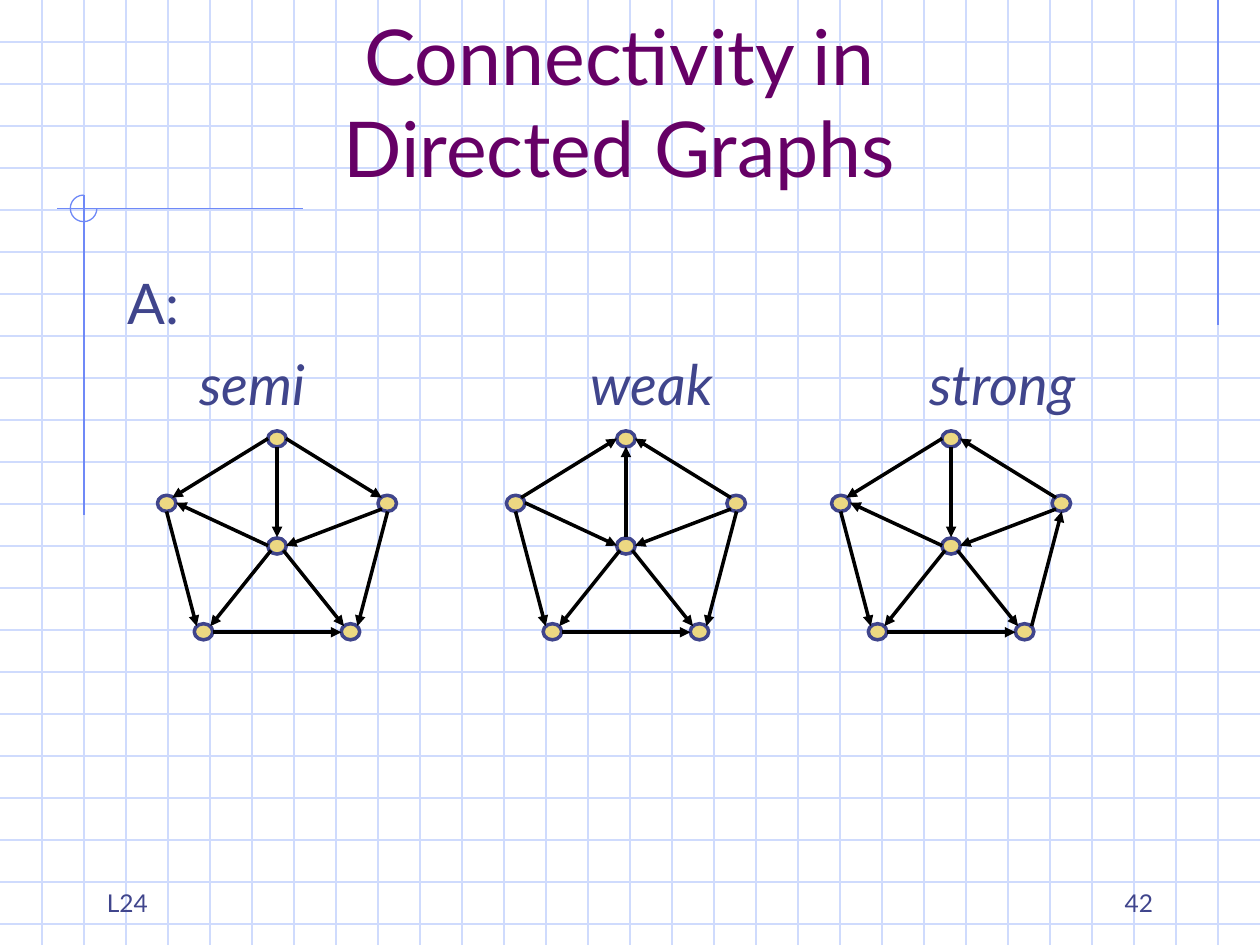
from lxml import etree
from pptx import Presentation
from pptx.dml.color import RGBColor
from pptx.enum.shapes import MSO_CONNECTOR, MSO_SHAPE
from pptx.enum.text import MSO_ANCHOR, PP_ALIGN
from pptx.oxml.ns import qn
from pptx.util import Pt

STRAIGHT = MSO_CONNECTOR.STRAIGHT
ELLIPSE, ARC = MSO_SHAPE.OVAL, MSO_SHAPE.ARC
TOP, BOTTOM = MSO_ANCHOR.TOP, MSO_ANCHOR.BOTTOM
LEFT, CENTER, RIGHT = PP_ALIGN.LEFT, PP_ALIGN.CENTER, PP_ALIGN.RIGHT

GRID_BLUE = RGBColor(0xCF, 0xDB, 0xFD)
ACCENT_BLUE = RGBColor(0x6F, 0x89, 0xF7)
PURPLE = RGBColor(0x66, 0x00, 0x66)
INDIGO = RGBColor(0x40, 0x45, 0x8C)
GOLD = RGBColor(0xEC, 0xD8, 0x82)
BLACK = RGBColor(0x00, 0x00, 0x00)

FONT = "Lato"
WIDTH, HEIGHT, GRID_STEP = 720, 540, 24
NODE_WIDTH, NODE_HEIGHT = 10.6, 9.2
NODES = [(0, 283), (126, 283), (21, 356.4), (105, 356.4), (63, 246.2), (63, 307.4)]
EDGES = {
    "left-lower left": ((5.2, 292.3), (22.4, 357.8)),
    "lower left-lower right": ((31.7, 361.3), (105.1, 361.3)),
    "right-lower right": ((131.5, 292.3), (114.3, 357.8)),
    "top-left": ((63.2, 250.6), (8.4, 284.4)),
    "top-right": ((73.4, 250.6), (128.2, 284.4)),
    "hub-left": ((63.2, 311.8), (10.6, 287.3)),
    "hub-lower right": ((72, 314.6), (106.6, 357.8)),
    "hub-lower left": ((64.8, 314.6), (30.2, 357.8)),
    "right-hub": ((128.2, 290.9), (73.4, 311.8)),
    "top-hub": ((68.3, 255.2), (68.3, 307)),
}
GRAPHS = [
    (90, set()),
    (289.4, {"top-left", "top-right", "hub-left", "top-hub"}),
    (475.2, {"right-lower right", "top-right"}),
]
LABEL_STOPS = [41, 264.5, 458]


def add_line(page, start, end, color, width=0.75, arrow=False):
    line = page.shapes.add_connector(STRAIGHT, *map(Pt, start + end))
    line.line.color.rgb = color
    line.line.width = Pt(width)
    if arrow:
        etree.SubElement(line.line._get_or_add_ln(), qn("a:tailEnd"), type="triangle")
    etree.SubElement(line._element.spPr, qn("a:effectLst"))


def add_text(page, frame, lines, size, color, align=LEFT, anchor=TOP):
    box = page.shapes.add_textbox(*map(Pt, frame))
    text = box.text_frame
    text.word_wrap = True
    text.vertical_anchor = anchor
    for index, line in enumerate(lines):
        para = text.add_paragraph() if index else text.paragraphs[0]
        para.text = line
        para.alignment = align
        para.font.name = FONT
        para.font.size = Pt(size)
        para.font.color.rgb = color
    return text.paragraphs


def set_tab_stops(para, stops):
    tabs = etree.Element(qn("a:tabLst"))
    for stop in stops:
        etree.SubElement(tabs, qn("a:tab"), pos=str(Pt(stop)), algn="l")
    para.font._element.addprevious(tabs)


def add_background(page):
    for y in range(GRID_STEP, HEIGHT, GRID_STEP):
        add_line(page, (0, y), (WIDTH, y), GRID_BLUE)
    for x in range(GRID_STEP, WIDTH, GRID_STEP):
        add_line(page, (x, 0), (x, HEIGHT), GRID_BLUE)
    add_line(page, (696, 0), (696, 186), ACCENT_BLUE)
    add_line(page, (173, 119.2), (32.4, 119.2), ACCENT_BLUE)
    add_line(page, (48, 111.6), (48, 294.5), ACCENT_BLUE)
    arc = page.shapes.add_shape(ARC, Pt(40.2), Pt(111.5), Pt(15.2), Pt(15.2))
    arc.adjustments[0], arc.adjustments[1] = 0, 162
    arc.shadow.inherit = False
    arc.fill.background()
    arc.line.color.rgb = ACCENT_BLUE
    arc.line.width = Pt(0.75)


def add_node(page, x, y):
    node = page.shapes.add_shape(ELLIPSE, Pt(x), Pt(y), Pt(NODE_WIDTH), Pt(NODE_HEIGHT))
    node.shadow.inherit = False
    node.fill.solid()
    node.fill.fore_color.rgb = GOLD
    node.line.color.rgb = INDIGO
    node.line.width = Pt(2)


def add_graph(page, left, reversed_edges):
    for x, y in NODES:
        add_node(page, left + x, y)
    for name, ends in EDGES.items():
        start, end = [(left + x, y) for x, y in ends]
        if name in reversed_edges:
            start, end = end, start
        add_line(page, start, end, BLACK, 2, arrow=True)


def main():
    """Build the slide on connectivity in directed graphs."""
    deck = Presentation()
    deck.slide_width, deck.slide_height = Pt(WIDTH), Pt(HEIGHT)
    page = deck.slides.add_slide(deck.slide_layouts[6])
    add_background(page)
    add_text(page, (48, 24, 612, 90), ["Connectivity in\vDirected Graphs"], 44, PURPLE, CENTER, BOTTOM)
    answer, labels = add_text(page, (66, 150, 612, 324), ["A:", "\tsemi\tweak\tstrong"], 32, INDIGO)
    answer.space_before = labels.space_before = Pt(8)
    labels.font.italic = True
    set_tab_stops(labels, LABEL_STOPS)
    for left, reversed_edges in GRAPHS:
        add_graph(page, left, reversed_edges)
    add_text(page, (516, 492, 150, 36), ["42"], 14, INDIGO, RIGHT, BOTTOM)
    add_text(page, (54, 492, 150, 36), ["L24"], 14, INDIGO, LEFT, BOTTOM)
    deck.save("out.pptx")


if __name__ == "__main__":
    main()
